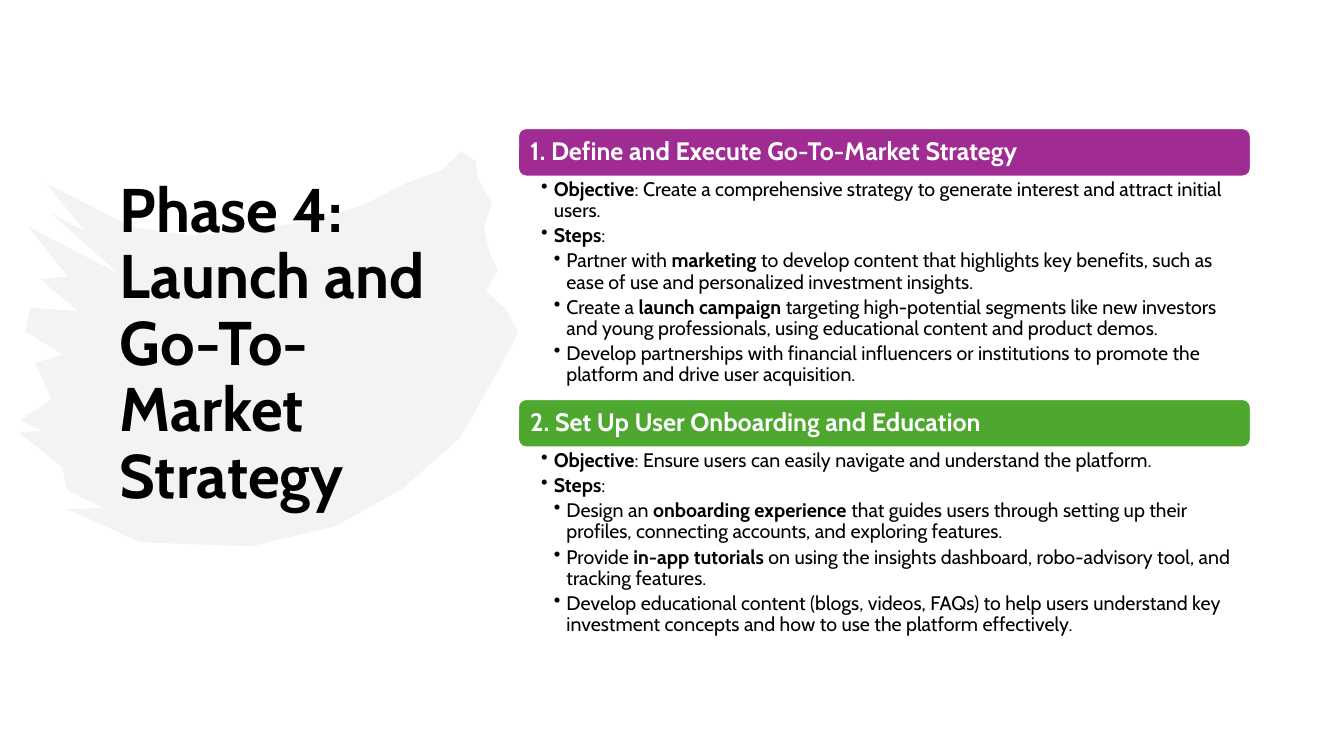
from lxml import etree
from pptx import Presentation
from pptx.dml.color import RGBColor
from pptx.enum.shapes import MSO_SHAPE
from pptx.enum.text import MSO_ANCHOR, MSO_AUTO_SIZE, PP_ALIGN
from pptx.oxml.ns import qn
from pptx.util import Pt

ROUND = MSO_SHAPE.ROUNDED_RECTANGLE
MIDDLE, TOP = MSO_ANCHOR.MIDDLE, MSO_ANCHOR.TOP
LEFT = PP_ALIGN.LEFT
FIXED = MSO_AUTO_SIZE.NONE

UNIT = Pt(0.72)
BRUSH = [
    (458, 150), (472, 160), (474, 177), (488, 202), (480, 226), (486, 252),
    (494, 268), (482, 289), (503, 308), (514, 330), (494, 368), (456, 435),
    (399, 485), (333, 522), (249, 542), (139, 538), (96, 518), (66, 505),
    (102, 504), (66, 486), (62, 464), (19, 429), (41, 427), (20, 417),
    (51, 396), (35, 360), (63, 352), (25, 329), (30, 305), (78, 309),
    (40, 277), (67, 274), (28, 225), (117, 271), (50, 211), (85, 230),
    (46, 182), (130, 225), (192, 234), (260, 227), (317, 217), (361, 203),
    (402, 182), (438, 169),
]

PARTS = [
    (91.5, 158.4, "A02B93", "1. Define and Execute Go-To-Market Strategy", [
        (1, "*Objective*: Create a comprehensive strategy to generate interest "
            "and attract initial users."),
        (1, "*Steps*:"),
        (2, "Partner with *marketing* to develop content that highlights key "
            "benefits, such as ease of use and personalized investment insights."),
        (2, "Create a *launch campaign* targeting high-potential segments like "
            "new investors and young professionals, using educational content "
            "and product demos."),
        (2, "Develop partnerships with financial influencers or institutions to "
            "promote the platform and drive user acquisition."),
    ]),
    (285, 141, "4EA72E", "2. Set Up User Onboarding and Education", [
        (1, "*Objective*: Ensure users can easily navigate and understand the "
            "platform."),
        (1, "*Steps*:"),
        (2, "Design an *onboarding experience* that guides users through setting "
            "up their profiles, connecting accounts, and exploring features."),
        (2, "Provide *in-app tutorials* on using the insights dashboard, "
            "robo-advisory tool, and tracking features."),
        (2, "Develop educational content (blogs, videos, FAQs) to help users "
            "understand key investment concepts and how to use the platform "
            "effectively."),
    ]),
]


def tint(code):
    return RGBColor.from_string(code)


class Deck:
    """Holds the style and the current slide, and draws each kind of element."""

    font = "Cabin"
    ink = "000000"
    paper = "FFFFFF"
    wash = "E8E8E8"
    step = 9

    def __init__(self):
        self.show = Presentation()
        self.show.slide_width, self.show.slide_height = Pt(960), Pt(540)
        self.slide = self.show.slides.add_slide(self.show.slide_layouts[5])
        self.shapes = self.slide.shapes

    def frame(self, shape, pads, anchor):
        box = shape.text_frame
        box.word_wrap = True
        box.auto_size = FIXED
        box.vertical_anchor = anchor
        (box.margin_left, box.margin_top,
         box.margin_right, box.margin_bottom) = map(Pt, pads)
        return box

    def style(self, para, size, color):
        para.alignment = LEFT
        para.line_spacing = 0.9
        for run in para.runs:
            run.font.name = self.font
            run.font.size = Pt(size)
            run.font.color.rgb = tint(color)

    def label(self, shape, text, pads, size, color):
        box = self.frame(shape, pads, MIDDLE)
        box.text = text
        para = box.paragraphs[0]
        self.style(para, size, color)
        para.runs[0].font.bold = True

    def brush(self, points):
        start, *rest = points
        build = self.shapes.build_freeform(*start, scale=UNIT)
        build.add_line_segments(rest, close=True)
        shape = build.convert_to_shape()
        shape.shadow.inherit = False
        shape.fill.solid()
        shape.fill.fore_color.rgb = tint(self.wash)
        shape.line.fill.background()
        color = shape.element.spPr.find(".//" + qn("a:srgbClr"))
        etree.SubElement(color, qn("a:alpha"), val="50000")
        self.shapes.element.insert(2, shape.element)

    def title(self, text, place):
        shape = self.shapes.title
        shape.left, shape.top, shape.width, shape.height = map(Pt, place)
        self.label(shape, text, (7.2, 3.6, 7.2, 51), 44, self.ink)

    def banner(self, text, place, color):
        shape = self.shapes.add_shape(ROUND, *map(Pt, place))
        shape.shadow.inherit = False
        shape.fill.solid()
        shape.fill.fore_color.rgb = tint(color)
        shape.line.color.rgb = tint(self.paper)
        shape.line.width = Pt(1.5)
        self.label(shape, text, (7.2, 5, 7.2, 5), 18, self.paper)

    def points(self, items, place):
        shape = self.shapes.add_textbox(*map(Pt, place))
        box = self.frame(shape, (16.6, 2.2, 10, 2.2), TOP)
        for order, (level, text) in enumerate(items):
            para = box.add_paragraph() if order else box.paragraphs[0]
            self.bullet(para, level, text)

    def bullet(self, para, level, text):
        para.level = level
        for turn, piece in enumerate(text.split("*")):
            if piece:
                run = para.add_run()
                run.text = piece
                run.font.bold = turn % 2 == 1
        self.style(para, 14, self.ink)
        para.space_after = Pt(2.8)
        props = para._p.get_or_add_pPr()
        props.set("marL", str(Pt(self.step * level)))
        props.set("indent", str(-Pt(self.step)))
        etree.SubElement(props, qn("a:buChar"), char="•")


def main():
    deck = Deck()
    deck.brush(BRUSH)
    deck.title("Phase 4: Launch and Go-To-Market Strategy", (78.5, 54, 275, 432.7))
    left, width, bar = 370, 523.5, 34.6
    for top, height, color, head, items in PARTS:
        deck.banner(head, (left, top, width, bar), color)
        deck.points(items, (left, top + bar, width, height))
    deck.show.save("out.pptx")


if __name__ == "__main__":
    main()
